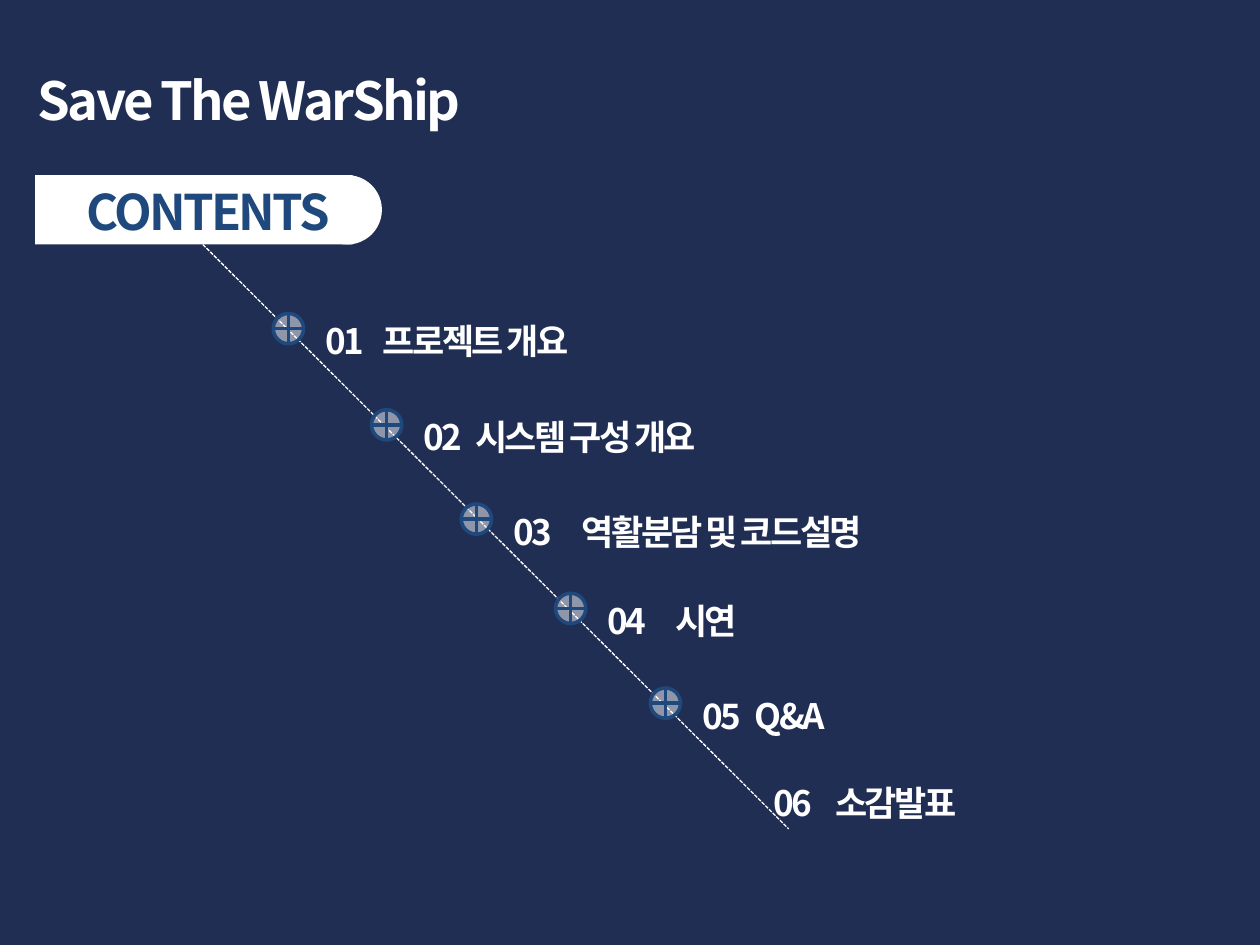
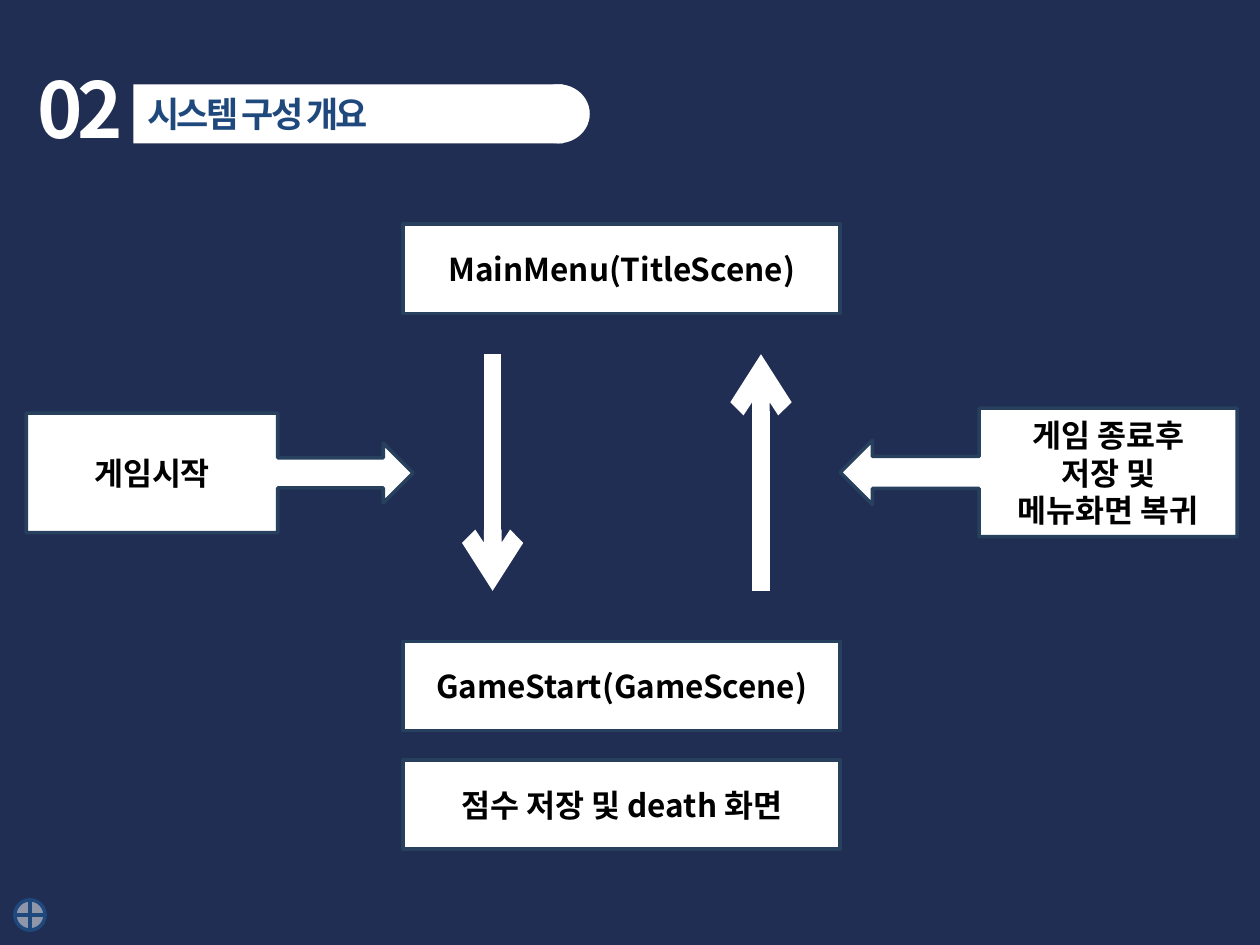
from lxml.etree import SubElement
from pptx import Presentation
from pptx.dml.color import RGBColor
from pptx.enum.dml import MSO_LINE
from pptx.enum.shapes import MSO_CONNECTOR, MSO_SHAPE as Shp
from pptx.enum.text import MSO_ANCHOR, PP_ALIGN
from pptx.oxml.ns import qn
from pptx.util import Cm, Pt

FONT = "Noto Sans CJK KR"
COLORS = {"navy": "212E53", "white": "FFFFFF", "blue": "1F497D",
          "edge": "27405E", "black": "000000"}

# number, topic, marker left and top, tab from number to topic (cm)
CONTENTS = [
    ("01", "프로젝트 개요", 5.51, 6.32, 1.16),
    ("02", "시스템 구성 개요", 7.49, 8.26, 1.04),
    ("03", "역활분담 및 코드설명", 9.3, 10.16, 1.38),
    ("04", "시연", 11.2, 11.96, 1.36),
    ("05", "Q&A", 13.11, 13.87, 1.06),
    ("06", "소감발표", 14.55, 15.62, 1.24),
]
MARKER = 0.61
LABEL_GAP = 0.8

SCENE_LEFT, SCENE_W, SCENE_H = 8.13, 8.81, 1.8
SCENES = [("MainMenu(TitleScene)", 4.52), ("GameStart(GameScene)", 12.93),
          ("점수 저장 및 death 화면", 15.32)]
FLOWS = [(9.93, 7.14, 11.91), (15.34, 11.91, 7.14)]  # x, from y, to y
EVENTS = [
    (Shp.RIGHT_ARROW_CALLOUT, (0.53, 8.33, 7.8, 2.41), ["게임시작"]),
    (Shp.LEFT_ARROW_CALLOUT, (16.94, 8.23, 8, 2.59),
     ["게임 종료후", "저장 및", "메뉴화면 복귀"]),
]
CALLOUT_ADJ = (0.25, 0.25, 0.25, 0.65)


def rgb(name):
    return RGBColor.from_string(COLORS[name])


def cm(*values):
    return [Cm(v) for v in values]


def new_slide(prs):
    s = prs.slides.add_slide(prs.slide_layouts[6])
    s.background.fill.solid()
    s.background.fill.fore_color.rgb = rgb("navy")
    return s


def write(p, text, size, color, spacing=0):
    r = p.add_run()
    r.text = text
    for name, value in {"size": Pt(size), "bold": True, "name": FONT}.items():
        setattr(r.font, name, value)
    r.font.color.rgb = rgb(color)
    rpr = r.font._element
    SubElement(rpr, qn("a:ea"), typeface=FONT)
    if spacing:
        rpr.set("spc", str(int(spacing * 100)))


def add_text(s, box, text, size, color="white", spacing=-1.5, tab=None):
    tf = s.shapes.add_textbox(*cm(*box)).text_frame
    tf.word_wrap = True
    p = tf.paragraphs[0]
    if tab:
        tabs = SubElement(p._p.get_or_add_pPr(), qn("a:tabLst"))
        SubElement(tabs, qn("a:tab"), pos=str(Cm(tab)), algn="l")
    write(p, text, size, color, spacing)


def add_shape(shapes, kind, box, line=None):
    sp = shapes.add_shape(kind, *cm(*box))
    sp.shadow.inherit = False
    sp.fill.solid()
    sp.fill.fore_color.rgb = rgb("white")
    if line:
        sp.line.color.rgb = rgb(line)
        sp.line.width = Pt(2)
    else:
        sp.line.fill.background()
    return sp


def add_pill(s, left, top, bar_w, height, cap_left, cap_w):
    """Bar with a rounded right end, as one group."""
    group = s.shapes.add_group_shape()
    add_shape(group.shapes, Shp.RECTANGLE, (left, top, bar_w, height))
    add_shape(group.shapes, Shp.OVAL, (cap_left, top, cap_w, height))


def add_marker(s, left, top):
    sp = add_shape(s.shapes, Shp.FLOWCHART_OR, (left, top, MARKER, MARKER), "blue")
    color = sp.fill._xPr.find(qn("a:solidFill"))[0]
    SubElement(color, qn("a:alpha"), val="50000")


def add_line(s, ends, width):
    c = s.shapes.add_connector(MSO_CONNECTOR.STRAIGHT, *cm(*ends))
    c.line.color.rgb = rgb("white")
    c.line.width = Pt(width)
    SubElement(c._element.spPr, qn("a:effectLst"))
    return c


def add_block(s, kind, box, lines):
    """Outlined shape with centred black lines of text."""
    sp = add_shape(s.shapes, kind, box, "edge")
    tf = sp.text_frame
    tf.word_wrap = True
    tf.vertical_anchor = MSO_ANCHOR.MIDDLE
    for i, text in enumerate(lines):
        p = tf.add_paragraph() if i else tf.paragraphs[0]
        p.alignment = PP_ALIGN.CENTER
        write(p, text, 18, "black")
    return sp


def contents_slide(prs):
    s = new_slide(prs)
    add_text(s, (0.51, 1.24, 17.2, 1.5), "Save The WarShip", 30)
    add_pill(s, 0.71, 3.53, 6.4, 1.4, 6.3, 1.4)
    add_text(s, (1.5, 3.53, 6.4, 1.45), "CONTENTS", 28, "blue")
    add_line(s, (4.09, 4.93, 15.9, 16.71), 0.75).line.dash_style = MSO_LINE.SQUARE_DOT
    for i, (number, topic, left, top, tab) in enumerate(CONTENTS, 1):
        if i < len(CONTENTS):
            add_marker(s, left, top)
        add_text(s, (left + LABEL_GAP, top, 10.39, 1.07),
                 f"{number}\t{topic}", 20, tab=tab)


def system_slide(prs):
    s = new_slide(prs)
    number, topic = CONTENTS[1][:2]
    add_text(s, (0.51, 1.12, 2.79, 2.13), number, 44, spacing=-3)
    add_marker(s, 0.3, 18.14)
    add_pill(s, 2.69, 1.7, 8.66, 1.19, 10.62, 1.27)
    add_text(s, (2.72, 1.75, 8.79, 1.07), topic, 20, "blue")
    for text, top in SCENES:
        add_block(s, Shp.RECTANGLE, (SCENE_LEFT, top, SCENE_W, SCENE_H), [text])
    for x, start, end in FLOWS:
        c = add_line(s, (x, start, x, end), 10)
        SubElement(c.line._get_or_add_ln(), qn("a:tailEnd"), type="arrow")
    for kind, box, lines in EVENTS:
        sp = add_block(s, kind, box, lines)
        for i, value in enumerate(CALLOUT_ADJ):
            sp.adjustments[i] = value


def main():
    prs = Presentation()
    prs.slide_width, prs.slide_height = cm(25.4, 19.05)
    contents_slide(prs)
    system_slide(prs)
    prs.save("out.pptx")


if __name__ == "__main__":
    main()
